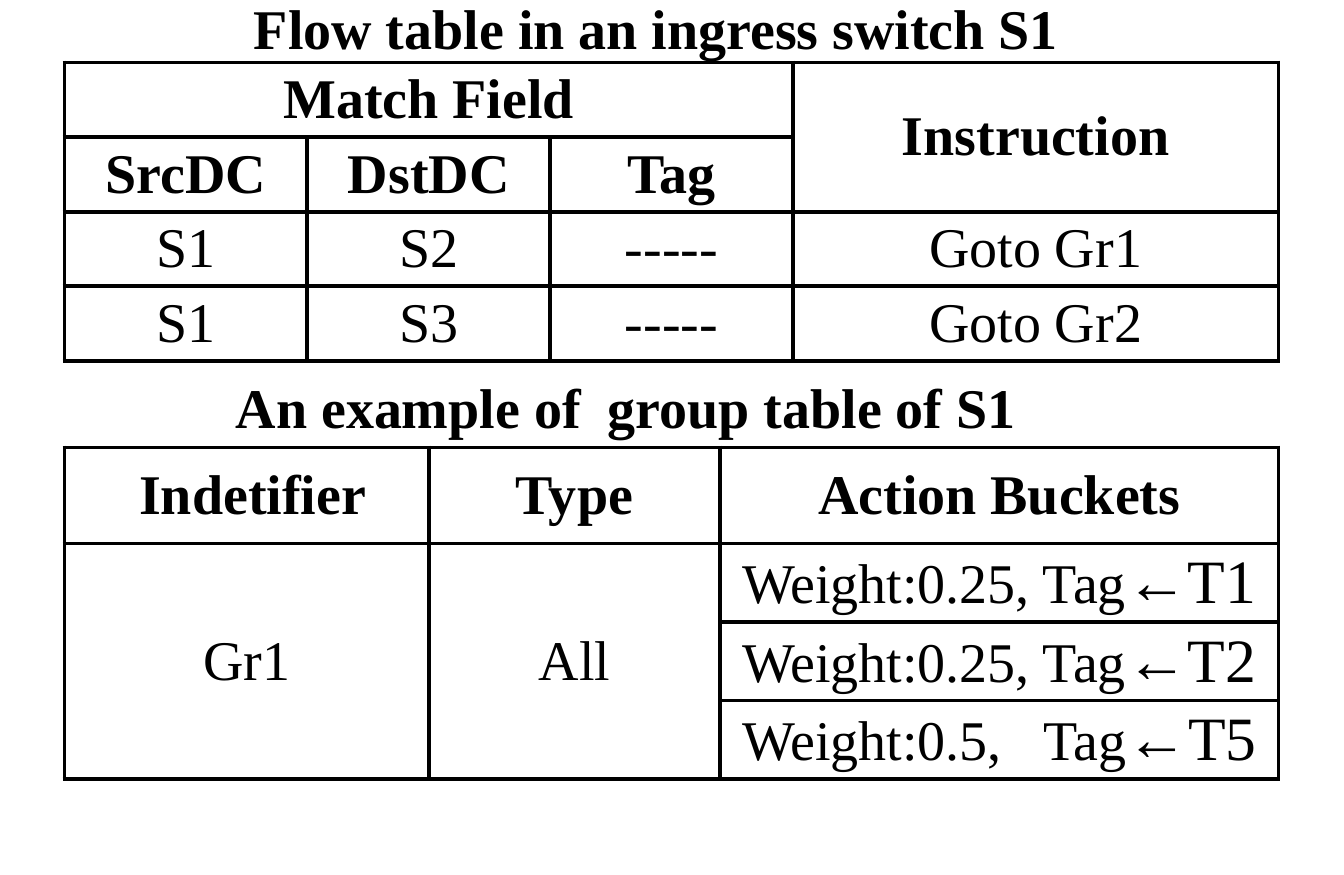
from lxml import etree
from pptx import Presentation
from pptx.dml.color import RGBColor
from pptx.enum.text import MSO_ANCHOR, PP_ALIGN
from pptx.oxml.ns import qn
from pptx.util import Inches, Pt

CENTER, LEFT = PP_ALIGN.CENTER, PP_ALIGN.LEFT
MIDDLE = MSO_ANCHOR.MIDDLE
WIDE, HIGH = 13.33, 8.68
EDGE, SPAN = 0.64, 12.04
FONT, INK, PAPER = "Times New Roman", "000000", "FFFFFF"
BODY, LARGE = 40, 44

FLOW = [
    ["Match Field", "", "", "Instruction"],
    ["SrcDC", "DstDC", "Tag", ""],
    ["S1", "S2", "-----", "Goto Gr1"],
    ["S1", "S3", "-----", "Goto Gr2"],
]
GROUP = [
    ["Indetifier", "Type", "Action Buckets"],
    ["Gr1", "All", "Weight:0.25, Tag|←T1"],
    ["", "", "Weight:0.25, Tag|←T2"],
    ["", "", "Weight:0.5,\tTag|←T5"],
]
INSETS = {"Indetifier": 0.22, "Weight:0.5,\tTag|←T5": 0.22}


def tint(code):
    return RGBColor.from_string(code)


def write(para, text, bold, stop):
    if "\t" in text:
        stops = etree.SubElement(para._p.get_or_add_pPr(), qn("a:tabLst"))
        etree.SubElement(stops, qn("a:tab"), pos=str(Inches(stop)), algn="l")
        para.alignment = LEFT
    for part, size in zip(text.split("|"), (BODY, LARGE)):
        run = para.add_run()
        run.text = part
        font = run.font
        font.name, font.size, font.bold = FONT, Pt(size), bold
        font.color.rgb = tint(INK)


def border(cell):
    props = cell._tc.get_or_add_tcPr()
    for side in "LRTB":
        line = etree.SubElement(props, qn("a:ln" + side), w=str(Pt(3)))
        fill = etree.SubElement(line, qn("a:solidFill"))
        etree.SubElement(fill, qn("a:srgbClr"), val=INK)


def add_title(slide, text, left, top):
    box = slide.shapes.add_textbox(
        Inches(left), Inches(top), Inches(8.27), Inches(0.77))
    box.text_frame.word_wrap = True
    para = box.text_frame.paragraphs[0]
    para.alignment = LEFT
    write(para, text, True, 3.69)


def add_grid(slide, top, shares, heights, data, heads, merges):
    grid = slide.shapes.add_table(
        len(data), len(shares), Inches(EDGE), Inches(top),
        Inches(SPAN), Inches(sum(heights))).table
    grid.first_row = grid.horz_banding = False
    for col, share in zip(grid.columns, shares):
        col.width = Inches(SPAN * share)
    for row, height in zip(grid.rows, heights):
        row.height = Inches(height)
    for r, texts in enumerate(data):
        for c, text in enumerate(texts):
            cell = grid.cell(r, c)
            border(cell)
            cell.fill.solid()
            cell.fill.fore_color.rgb = tint(PAPER)
            cell.vertical_anchor = MIDDLE
            cell.margin_top = cell.margin_bottom = 0
            cell.margin_left = Inches(INSETS.get(text, 0.1))
            para = cell.text_frame.paragraphs[0]
            para.alignment = CENTER
            if text:
                write(para, text, r < heads, 2.99)
            else:
                para.font.size = Pt(BODY)
    for first, last in merges:
        grid.cell(*first).merge(grid.cell(*last))


def add_flow(slide, top):
    add_title(slide, "Flow table in an ingress switch S1", 2.42, top)
    add_grid(slide, top + 0.73, [0.2, 0.2, 0.2, 0.4], [0.74] * 4, FLOW, 2,
             [((0, 0), (0, 2)), ((0, 3), (1, 3))])


def add_group(slide, top):
    add_title(slide, "An example of\tgroup table of S1", 2.24, top)
    add_grid(slide, top + 0.79, [0.3, 0.24, 0.46], [0.95] + [0.78] * 3, GROUP, 1,
             [((1, c), (3, c)) for c in (0, 1)])


def main():
    deck = Presentation()
    deck.slide_width, deck.slide_height = Inches(WIDE), Inches(HIGH)
    slide = deck.slides.add_slide(deck.slide_layouts[6])
    add_flow(slide, -0.11)
    add_group(slide, 3.65)
    deck.save("out.pptx")


if __name__ == "__main__":
    main()
